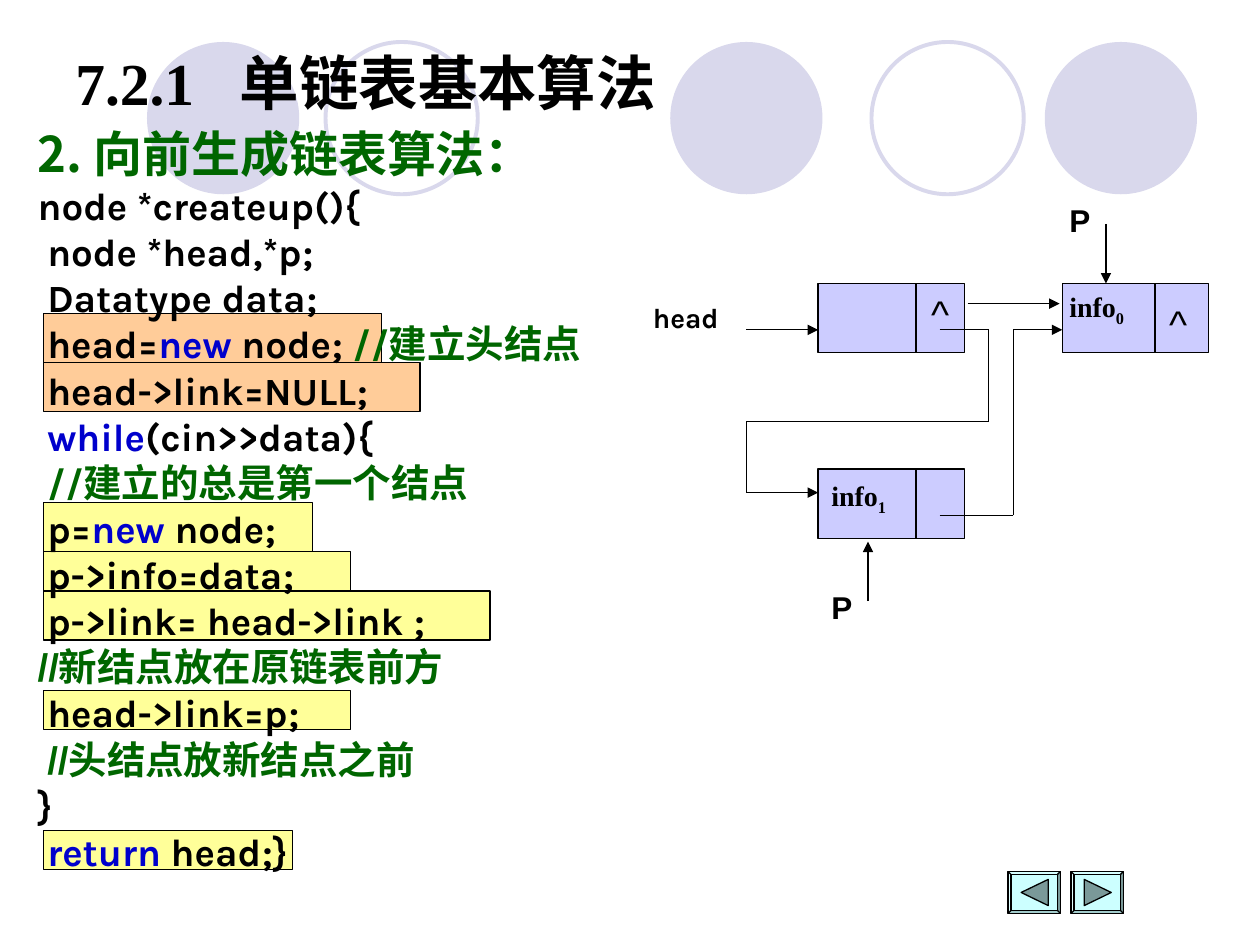
"""Build the slide on generating a linked list by inserting at the front."""
from dataclasses import dataclass
from itertools import pairwise

from lxml import etree
from pptx import Presentation
from pptx.dml.color import RGBColor
from pptx.enum.shapes import MSO_CONNECTOR, MSO_SHAPE
from pptx.enum.text import MSO_ANCHOR
from pptx.oxml.ns import qn
from pptx.util import Pt

STRAIGHT = MSO_CONNECTOR.STRAIGHT
OVAL, RECT, BEVEL = MSO_SHAPE.OVAL, MSO_SHAPE.RECTANGLE, MSO_SHAPE.BEVEL
TOP, MIDDLE = MSO_ANCHOR.TOP, MSO_ANCHOR.MIDDLE


@dataclass(frozen=True)
class Theme:
    black: str = "000000"
    green: str = "006600"
    blue: str = "0000CC"
    circle: str = "D9D8EC"
    node: str = "CCCCFF"
    orange: str = "FFCC99"
    yellow: str = "FFFF99"
    button: str = "CCFFFF"
    button_mark: str = "7A9999"
    code: str = "Karla"
    serif: str = "Times New Roman"
    sans: str = "Arial"
    cjk: str = "Noto Sans CJK SC"
    title_size: float = 34
    heading_size: float = 28
    code_size: float = 22
    pointer_size: float = 18
    label_size: float = 16
    heading_pitch: float = 35
    code_pitch: float = 26.35
    thin: float = 0.75
    ring: float = 2.25


T = Theme()


@dataclass(frozen=True)
class Run:
    text: str
    color: str = T.black
    font: str = T.code
    size: float = T.code_size
    bold: bool = True
    baseline: int = 0


@dataclass(frozen=True)
class Node:
    x: float
    y: float
    divider: float


@dataclass(frozen=True)
class Band:
    y: float
    w: float
    h: float
    color: str = T.yellow


@dataclass(frozen=True)
class Label:
    x: float
    y: float
    w: float
    runs: tuple[Run, ...]


def comment(text: str, font: str = T.serif) -> Run:
    return Run(text, T.green, font)


def keyword(text: str) -> Run:
    return Run(text, T.blue)


def info(index: str) -> tuple[Run, ...]:
    return (Run("info", font=T.serif, size=T.label_size),
            Run(index, font=T.serif, size=T.label_size, baseline=-25000))


CIRCLES = ((383, True), (597, True), (84, True), (498, False), (186, False))
NODES = (Node(467.5, 162, 523.5), Node(607, 162, 660), Node(467.5, 268, 523.5))
ARROWS = (
    ((426.5, 188.5), (467.5, 188.5)),
    ((537, 188.5), (565, 188.5), (565, 241), (426.5, 241), (426.5, 281.5), (467.5, 281.5)),
    ((537, 294.5), (579, 294.5), (579, 188.5), (607, 188.5)),
    ((632, 128), (632, 162)),
    ((553, 173.5), (605.5, 173.5)),
    ((496, 343.5), (496, 309.5)),
)
BANDS = (
    Band(179.3, 193, 28, T.orange), Band(207.3, 215, 28, T.orange),
    Band(287.3, 153.5, 28), Band(315.3, 175.5, 22.4), Band(337.7, 255, 28),
    Band(394.5, 175.5, 22.4), Band(474.5, 142, 22.4),
)
NULL = (Run("^", font=T.sans, bold=False),)
POINTER = (Run("P", font=T.sans, size=T.pointer_size),)
LABELS = (
    Label(366, 168, 90, (Run("head", size=T.label_size),)),
    Label(525, 162, 25, NULL), Label(661, 168, 25, NULL),
    Label(604, 162, 57, info("0")), Label(468, 270, 51, info("1")),
    Label(604, 111.5, 26, POINTER), Label(468, 332.5, 26, POINTER),
)
CODE = (
    (Run("2. 向前生成链表算法：", T.green, T.cjk, T.heading_size),),
    (Run("node *createup(){"),),
    (Run(" node *head,*p;"),),
    (Run(" Datatype data;"),),
    (Run(" head="), keyword("new "), Run("node; "), comment("//", T.code), comment("建立头结点")),
    (Run(" head->link=NULL;"),),
    (Run(" "), keyword("while"), Run("(cin>>data){")),
    (Run(" "), comment("//", T.code), comment("建立的总是第一个结点")),
    (Run(" p="), keyword("new"), Run(" node;")),
    (Run(" p->info=data;"),),
    (Run(" p->link= head->link ;"),),
    (comment("//新结点放在原链表前方", T.sans),),
    (Run(" head->link=p;"),),
    (Run(" "), comment("//头结点放新结点之前", T.sans)),
    (Run("}"),),
    (Run(" "), keyword("return"), Run(" head;}")),
)


def style(sp, fill: str | None, line: str | None, width: float = T.thin) -> None:
    sp.shadow.inherit = False
    if fill:
        sp.fill.solid()
        sp.fill.fore_color.rgb = RGBColor.from_string(fill)
    else:
        sp.fill.background()
    if line:
        sp.line.color.rgb = RGBColor.from_string(line)
        sp.line.width = Pt(width)
    else:
        sp.line.fill.background()


def add_shape(s, kind, x: float, y: float, w: float, h: float, fill: str | None,
              line: str | None = T.black, width: float = T.thin):
    sp = s.shapes.add_shape(kind, Pt(x), Pt(y), Pt(w), Pt(h))
    style(sp, fill, line, width)
    return sp


def add_path(s, points: tuple, arrow: bool = True) -> None:
    for i, (a, b) in enumerate(pairwise(points), 2):
        sp = s.shapes.add_connector(STRAIGHT, *(Pt(v) for v in a + b))
        sp.line.color.rgb = RGBColor.from_string(T.black)
        sp.line.width = Pt(T.thin)
        if arrow and i == len(points):
            etree.SubElement(sp.line._get_or_add_ln(), qn("a:tailEnd"), type="triangle")
        etree.SubElement(sp._element.spPr, qn("a:effectLst"))


def add_run(p, run: Run) -> None:
    r = p.add_run()
    r.text = run.text
    r.font.size, r.font.bold, r.font.name = Pt(run.size), run.bold, run.font
    r.font.color.rgb = RGBColor.from_string(run.color)
    rpr = r._r.get_or_add_rPr()
    etree.SubElement(rpr, qn("a:ea"), typeface=T.cjk)
    if run.baseline:
        rpr.set("baseline", str(run.baseline))


def add_text(s, x: float, y: float, w: float, h: float, lines: tuple, anchor=TOP):
    tf = s.shapes.add_textbox(Pt(x), Pt(y), Pt(w), Pt(h)).text_frame
    tf.word_wrap, tf.vertical_anchor, tf.margin_right = True, anchor, 0
    for i, runs in enumerate(lines):
        p = tf.add_paragraph() if i else tf.paragraphs[0]
        for run in runs:
            add_run(p, run)
    return tf


def add_button(s, x: float, forward: bool) -> None:
    y, w, h = 498, 30, 24
    add_shape(s, BEVEL, x, y, w, h, T.button).adjustments[0] = 0.07
    base, tip = (x + 7.5, x + 23) if forward else (x + 23, x + 7.5)
    fb = s.shapes.build_freeform(Pt(base), Pt(y + 4.5))
    fb.add_line_segments([(Pt(tip), Pt(y + 12)), (Pt(base), Pt(y + 19.5))], close=True)
    style(fb.convert_to_shape(), T.button_mark, T.black)


def main() -> None:
    prs = Presentation()
    prs.slide_width, prs.slide_height = Pt(720), Pt(540)
    s = prs.slides.add_slide(prs.slide_layouts[6])
    for x, solid in CIRCLES:
        add_shape(s, OVAL, x, 24, 87, 87, T.circle if solid else None,
                  None if solid else T.circle, T.ring)
    title = Run("7.2.1\t单链表基本算法", font=T.serif, size=T.title_size)
    tf = add_text(s, 36, 21.6, 648, 50, ((title,),), MIDDLE)
    tabs = etree.SubElement(tf.paragraphs[0]._p.get_or_add_pPr(), qn("a:tabLst"))
    etree.SubElement(tabs, qn("a:tab"), pos=str(Pt(94)), algn="l")
    for n in NODES:
        add_shape(s, RECT, n.x, n.y, 83.5, 39.6, T.node)
        add_path(s, ((n.divider, n.y), (n.divider, n.y + 39.6)), arrow=False)
    for points in ARROWS:
        add_path(s, points)
    for x, forward in ((576, False), (612, True)):
        add_button(s, x, forward)
    for b in BANDS:
        add_shape(s, RECT, 25, b.y, b.w, b.h, b.color)
    for label in LABELS:
        add_text(s, label.x, label.y, label.w, 34, (label.runs,))
    tf = add_text(s, 14.4, 65.5, 353, 437, CODE)
    for i, p in enumerate(tf.paragraphs):
        p.line_spacing = Pt(T.code_pitch if i else T.heading_pitch)
    prs.save("out.pptx")


if __name__ == "__main__":
    main()
